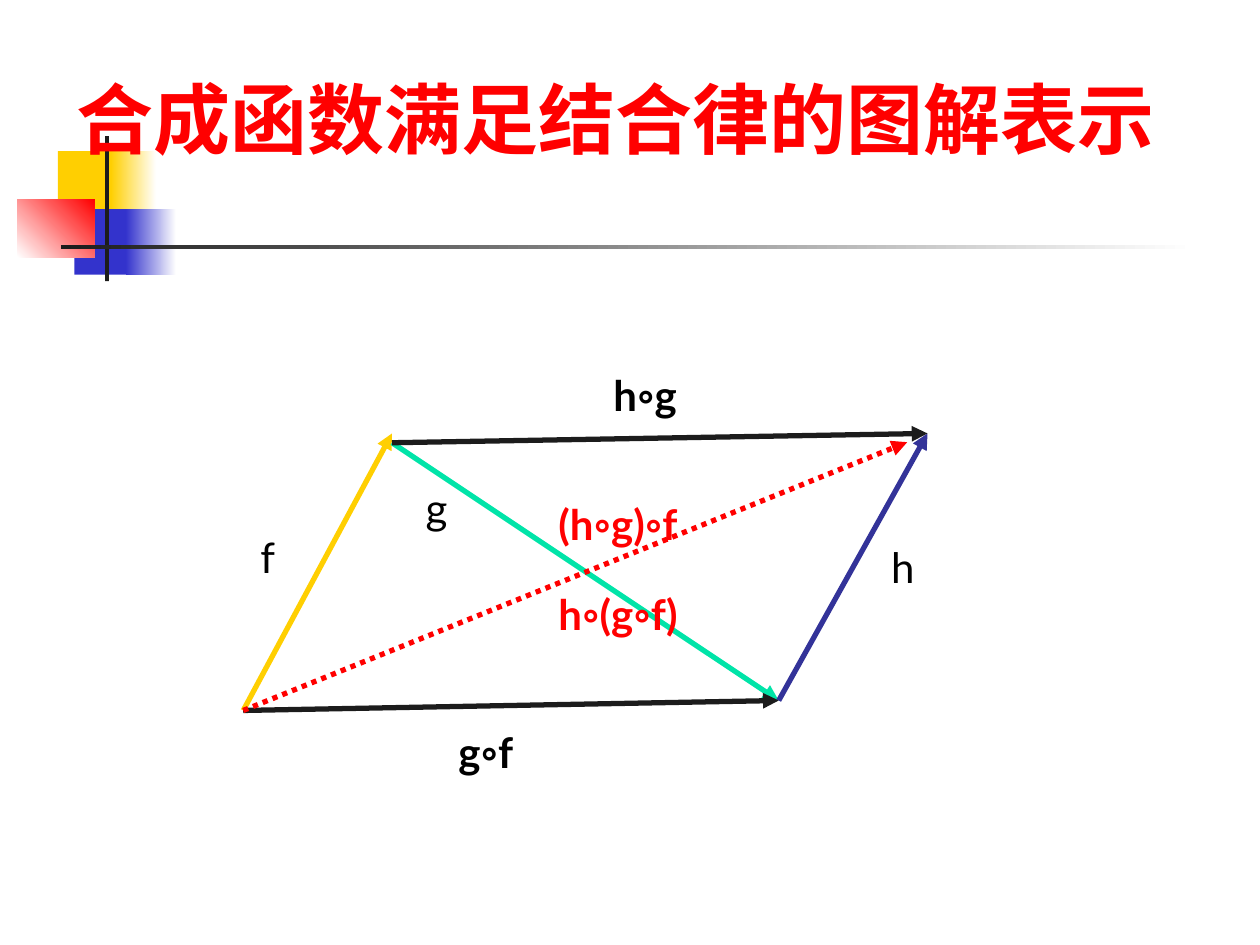
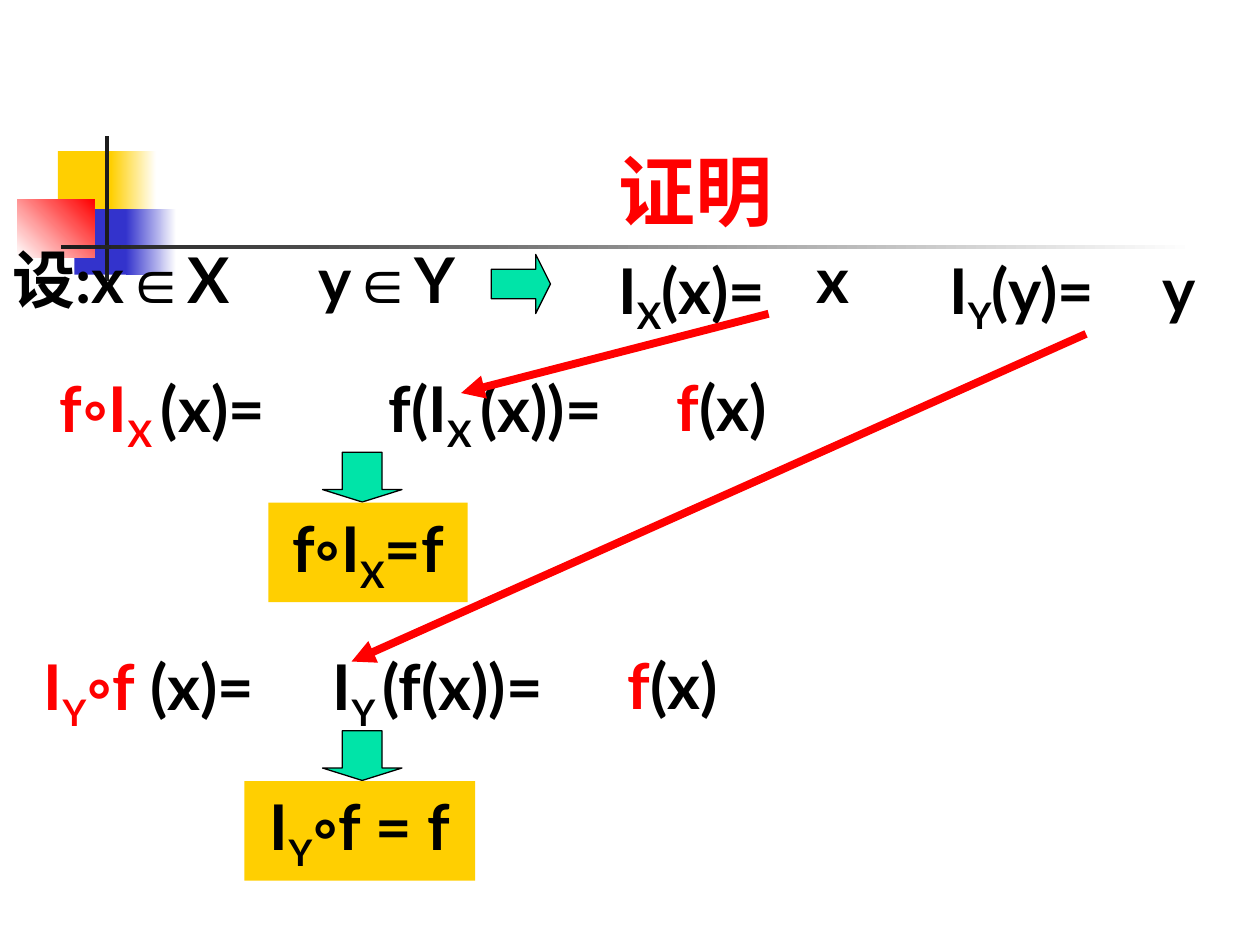
from dataclasses import dataclass
from typing import NamedTuple, Optional

from lxml.etree import SubElement
from pptx import Presentation
from pptx.dml.color import RGBColor
from pptx.enum.dml import MSO_LINE
from pptx.enum.shapes import MSO_CONNECTOR, MSO_SHAPE
from pptx.enum.text import MSO_ANCHOR, MSO_AUTO_SIZE, PP_ALIGN
from pptx.oxml.ns import qn
from pptx.util import Pt

YELLOW, BLUE, RED, GREEN = "FFCF01", "3333CC", "FF0000", "00E4A8"
NAVY, DARK, BLACK, WHITE = "333399", "1C1C1C", "000000", "FFFFFF"
FONT = "Lato"


class Box(NamedTuple):
    left: float
    top: float
    width: float
    height: float

    def emu(self) -> list:
        return [Pt(length) for length in self]


class Point(NamedTuple):
    x: float
    y: float


@dataclass
class Run:
    text: str
    color: str = BLACK
    font: str = FONT
    sub: bool = False


@dataclass
class Label:
    box: Box
    runs: list[Run]
    size: float = 36
    bold: bool = True
    fill: Optional[str] = None
    align: PP_ALIGN = PP_ALIGN.CENTER
    tab: Optional[float] = None


@dataclass
class Arrow:
    start: Point
    end: Point
    color: str
    width: float = 3
    dotted: bool = False


@dataclass
class Block:
    """A decoration of the title band; with fade_to its fill is a gradient."""
    box: Box
    color: str
    fade_to: Optional[str] = None
    angle: float = 0


@dataclass
class ProofRow:
    top: float
    steps: list[tuple[float, float, list[Run]]]
    conclusion: tuple[float, float, list[Run]]


TITLE_BAND = [
    Block(Box(33.1, 86.4, 34.6, 37.4), YELLOW),
    Block(Box(63.4, 86.4, 25.9, 37.4), YELLOW, WHITE),
    Block(Box(42.5, 119.5, 33.1, 37.4), BLUE),
    Block(Box(72, 119.5, 28.8, 37.4), BLUE, WHITE),
    Block(Box(10, 113.8, 44, 33.1), WHITE, RED, 45),
    Block(Box(60, 77.8, 2.3, 82.8), DARK),
    Block(Box(34.8, 140, 648, 2.5), DARK, WHITE),
]


def rgb(color: str) -> RGBColor:
    return RGBColor.from_string(color)


def write_runs(paragraph, runs: list[Run], size: float, bold: bool) -> None:
    for part in runs:
        run = paragraph.add_run()
        run.text = part.text
        run.font.size, run.font.bold = Pt(size), bold
        run.font.name = part.font
        run.font.color.rgb = rgb(part.color)
        properties = run._r.get_or_add_rPr()
        SubElement(properties, qn("a:ea"), typeface=part.font)
        if part.sub:
            properties.set("baseline", "-25000")


def add_label(slide, label: Label) -> None:
    box = slide.shapes.add_textbox(*label.box.emu())
    if label.fill:
        box.fill.solid()
        box.fill.fore_color.rgb = rgb(label.fill)
    frame = box.text_frame
    frame.word_wrap = False
    frame.vertical_anchor = MSO_ANCHOR.MIDDLE
    paragraph = frame.paragraphs[0]
    paragraph.alignment = label.align
    if label.tab:
        stops = SubElement(paragraph._p.get_or_add_pPr(), qn("a:tabLst"))
        SubElement(stops, qn("a:tab"), pos=str(Pt(label.tab)), algn="l")
    write_runs(paragraph, label.runs, label.size, label.bold)


def add_arrow(slide, arrow: Arrow) -> None:
    ends = [Pt(length) for length in (*arrow.start, *arrow.end)]
    connector = slide.shapes.add_connector(MSO_CONNECTOR.STRAIGHT, *ends)
    connector.line.color.rgb = rgb(arrow.color)
    connector.line.width = Pt(arrow.width)
    if arrow.dotted:
        connector.line.dash_style = MSO_LINE.ROUND_DOT
    properties = connector.element.spPr
    SubElement(properties.find(qn("a:ln")), qn("a:tailEnd"), type="triangle")
    SubElement(properties, qn("a:effectLst"))


def add_block_arrow(slide, kind: MSO_SHAPE, box: Box) -> None:
    shape = slide.shapes.add_shape(kind, *box.emu())
    shape.shadow.inherit = False
    shape.adjustments[0], shape.adjustments[1] = 0.5, 0.25
    shape.fill.solid()
    shape.fill.fore_color.rgb = rgb(GREEN)
    shape.line.color.rgb = rgb(BLACK)
    shape.line.width = Pt(0.75)


def add_title_band(slide) -> None:
    """Draw the band and move it to the slide's layout, behind every title."""
    for block in TITLE_BAND:
        shape = slide.shapes.add_shape(MSO_SHAPE.RECTANGLE, *block.box.emu())
        shape.shadow.inherit = False
        shape.line.fill.background()
        if block.fade_to:
            shape.fill.gradient()
            shape.fill.gradient_angle = block.angle
            for stop, color in zip(shape.fill.gradient_stops, (block.color, block.fade_to)):
                stop.color.rgb = rgb(color)
        else:
            shape.fill.solid()
            shape.fill.fore_color.rgb = rgb(block.color)
        slide.slide_layout.shapes.element.append(shape.element)


def add_titled_slide(deck, text: str, box: Box):
    slide = deck.slides.add_slide(deck.slide_layouts[5])
    title = slide.shapes.title
    title.left, title.top, title.width, title.height = box.emu()
    frame = title.text_frame
    frame.auto_size = MSO_AUTO_SIZE.NONE
    frame.vertical_anchor = MSO_ANCHOR.BOTTOM
    frame.paragraphs[0].alignment = PP_ALIGN.CENTER
    write_runs(frame.paragraphs[0], [Run(text, RED)], 44, True)
    return slide


def build_associativity(deck) -> None:
    slide = add_titled_slide(deck, "合成函数满足结合律的图解表示", Box(0, 7.2, 704.2, 90))
    add_title_band(slide)

    bottom_left, bottom_right = Point(139, 406), Point(445, 400.3)
    top_left, top_right = Point(224, 253), Point(530, 247.7)
    for arrow in (
        Arrow(bottom_left, Point(224, 247.7), YELLOW),
        Arrow(top_left, bottom_right, GREEN),
        Arrow(bottom_right, top_right, NAVY),
        Arrow(bottom_left, bottom_right, DARK),
        Arrow(top_left, top_right, DARK),
        Arrow(bottom_left, Point(518.4, 252.7), RED, dotted=True),
    ):
        add_arrow(slide, arrow)

    for name, left, top in (("f", 133.2, 303.8), ("g", 229.7, 275.8), ("h", 496.1, 309.6)):
        add_label(slide, Label(Box(left, top, 39.6, 28.1), [Run(name)], 24, False))
    for composite, color, left, top, width in (
        ("g◦f", BLACK, 250.6, 411.8, 54),
        ("h◦g", BLACK, 338.4, 207.4, 60.5),
        ("h◦(g◦f)", RED, 302.4, 332.6, 101.5),
        ("(h◦g)◦f", RED, 302.4, 281.5, 101.5),
    ):
        add_label(slide, Label(Box(left, top, width, 36), [Run(composite, color)], 24))


def add_proof_row(slide, row: ProofRow) -> None:
    for left, width, runs in row.steps:
        height = 56.9 if any(run.sub for run in runs) else 50.4
        add_label(slide, Label(Box(left, row.top, width, height), runs))
    add_block_arrow(slide, MSO_SHAPE.DOWN_ARROW, Box(184.3, row.top + 51.5, 45.4, 28.4))
    left, width, runs = row.conclusion
    add_label(slide, Label(Box(left, row.top + 80.2, width, 56.9), runs, fill=YELLOW))


def build_proof(deck) -> None:
    slide = add_titled_slide(deck, "证明", Box(90.7, 48.2, 613.4, 90))
    element_of = Run("∈", font="Arial")
    sub_x, sub_y = Run("X", sub=True), Run("Y", sub=True)
    sub_x_gap, sub_y_gap = Run("X ", sub=True), Run("Y ", sub=True)
    f_of_x = [Run("f", RED), Run("(x)")]

    add_label(slide, Label(
        Box(0, 133.9, 280.8, 50.4),
        [Run("设:x"), element_of, Run("X\ty"), element_of, Run("Y")],
        align=PP_ALIGN.LEFT, tab=175))
    for box, runs in (
        (Box(340.6, 139.7, 109.4, 56.9), [Run("I"), sub_x, Run("(x)=")]),
        (Box(458.6, 133.9, 35.3, 50.4), [Run("x")]),
        (Box(530.6, 139.7, 106.6, 56.9), [Run("I"), sub_y, Run("(y)=")]),
        (Box(656.6, 139.7, 34.6, 50.4), [Run("y")]),
    ):
        add_label(slide, Label(box, runs))
    add_block_arrow(slide, MSO_SHAPE.RIGHT_ARROW, Box(280.8, 145.4, 33.8, 33.8))

    for row in (
        ProofRow(207, [
            (15.1, 155.5, [Run("f◦I", RED), Run("X ", RED, sub=True), Run("(x)=")]),
            (204.5, 157, [Run("f(I"), sub_x_gap, Run("(x))=")]),
            (375.8, 73.4, f_of_x),
        ], (153.4, 113.8, [Run("f◦I"), sub_x, Run("=f")])),
        ProofRow(366.1, [
            (8.6, 153.4, [Run("I", RED), Run("Y", RED, sub=True), Run("◦f", RED), Run(" (x)=")]),
            (172.1, 156.2, [Run("I"), sub_y_gap, Run("(f(x))=")]),
            (347.8, 73.4, f_of_x),
        ], (139.7, 131.8, [Run("I"), sub_y, Run("◦f = f")])),
    ):
        add_proof_row(slide, row)

    add_arrow(slide, Arrow(Point(439.2, 179.3), Point(263.5, 224.6), RED, 4.5))
    add_arrow(slide, Arrow(Point(620.6, 190.8), Point(200.9, 378), RED, 4.5))


def main() -> None:
    deck = Presentation()
    deck.slide_width, deck.slide_height = Pt(720), Pt(540)
    build_associativity(deck)
    build_proof(deck)
    deck.save("out.pptx")


if __name__ == "__main__":
    main()
